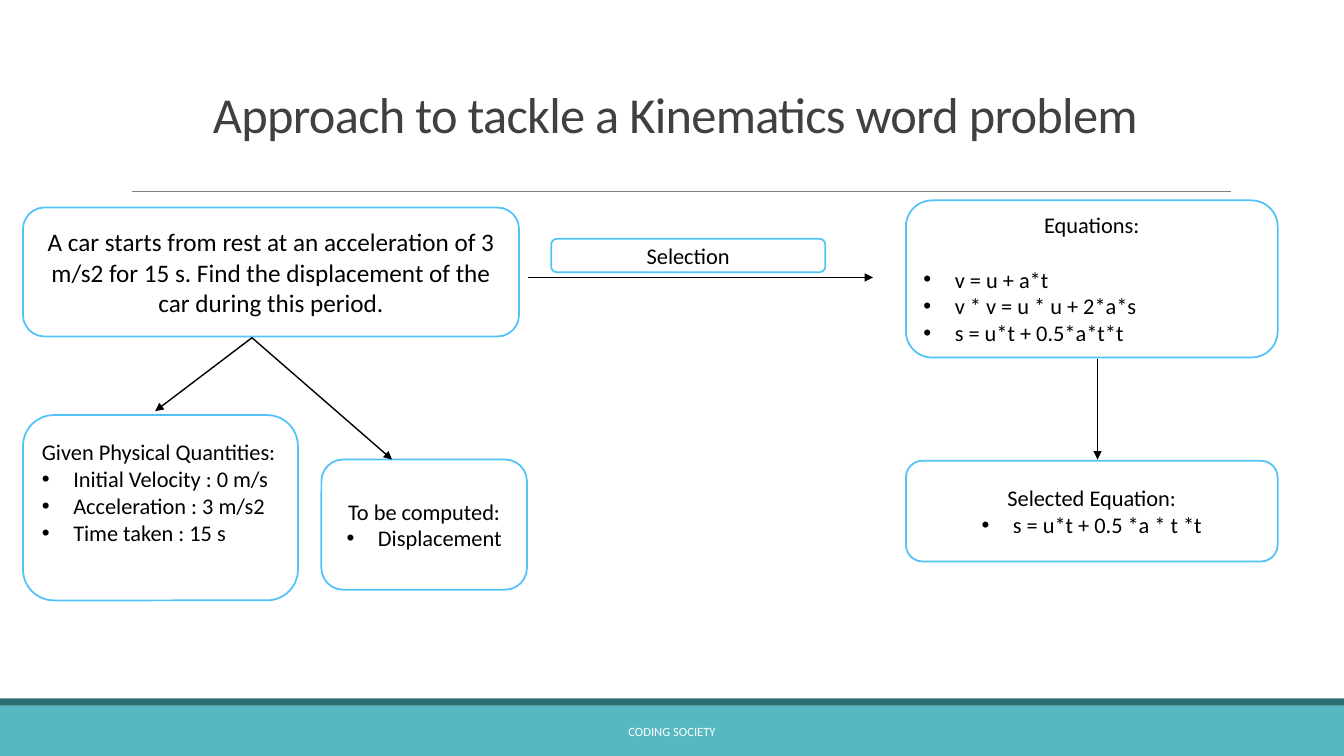
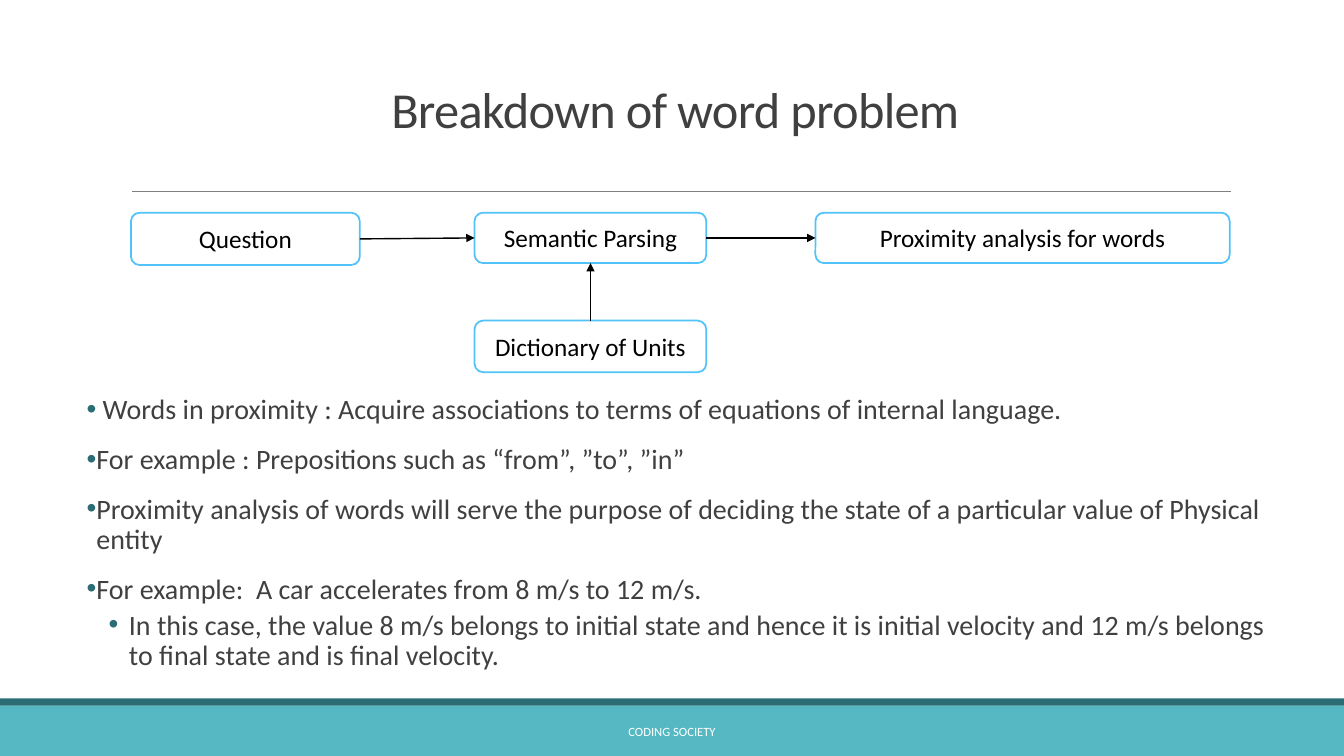
from lxml.etree import SubElement
from pptx import Presentation
from pptx.dml.color import RGBColor
from pptx.enum.shapes import MSO_CONNECTOR, MSO_SHAPE
from pptx.enum.text import MSO_ANCHOR, MSO_AUTO_SIZE, PP_ALIGN
from pptx.oxml.ns import qn
from pptx.util import Cm, Pt

FONT = "Calibri"
TEAL, DARK_TEAL, SKY = "56B8C2", "2A6D74", "51C3F9"
BLACK, WHITE, GREY, TEXT = "000000", "FFFFFF", "808080", "404040"
FOOTER = "CODING SOCIETY"
SLIDE_W, SLIDE_H = 33.87, 19.05
BAND_H, STRIP_H = 1.27, 0.18
BULLET_INDENT = 0.79
CENTER, LEFT = PP_ALIGN.CENTER, PP_ALIGN.LEFT


def rgb(value):
    """Turn a hex string into a colour."""
    return RGBColor.from_string(value)


def apply(target, formats):
    """Set each attribute named in a dict of format values."""
    for name, value in formats.items():
        setattr(target, name, value)


def place(shape, left, top, width, height):
    """Move and size a shape, in centimetres."""
    apply(shape, {"left": Cm(left), "top": Cm(top),
                  "width": Cm(width), "height": Cm(height)})


def write(p, text, size, color, **formats):
    """Write one formatted run into a paragraph and return the run."""
    apply(p, formats)
    r = p.add_run()
    r.text = text
    apply(r.font, {"name": FONT, "size": Pt(size)})
    r.font.color.rgb = rgb(color)
    return r


def paragraphs(tf, count):
    """Give the first paragraph and as many new ones as needed."""
    return [tf.paragraphs[0]] + [tf.add_paragraph() for _ in range(count - 1)]


def bullet(p, margin, hanging, color):
    """Give a paragraph a coloured round bullet with a hanging indent."""
    pPr = p._p.get_or_add_pPr()
    pPr.set("marL", str(Cm(margin)))
    pPr.set("indent", str(-Cm(hanging)))
    SubElement(SubElement(pPr, qn("a:buClr")), qn("a:srgbClr"), val=color)
    SubElement(pPr, qn("a:buFont"), typeface="Arial")
    SubElement(pPr, qn("a:buChar"), char="•")


def add_line(s, start, end, color, width):
    """Draw a straight line without a shadow."""
    line = s.shapes.add_connector(MSO_CONNECTOR.STRAIGHT,
                                  *(Cm(v) for v in (*start, *end)))
    line.line.color.rgb = rgb(color)
    line.line.width = Pt(width)
    SubElement(line.element.spPr, qn("a:effectLst"))
    return line


def add_arrow(s, start=(0, 0), end=(0, 0)):
    """Draw a black line with an arrowhead at its end."""
    arrow = add_line(s, start, end, BLACK, 1)
    SubElement(arrow.line._get_or_add_ln(), qn("a:tailEnd"), type="triangle")
    return arrow


def join(s, source, source_side, target, target_side):
    """Join the sides of two boxes with an arrow."""
    arrow = add_arrow(s)
    arrow.begin_connect(source, source_side)
    arrow.end_connect(target, target_side)


def add_bar(s, top, height, color):
    """Draw a full-width bar."""
    bar = s.shapes.add_shape(MSO_SHAPE.RECTANGLE, 0, Cm(top),
                             Cm(SLIDE_W), Cm(height))
    bar.shadow.inherit = False
    bar.fill.solid()
    bar.fill.fore_color.rgb = rgb(color)
    bar.line.fill.background()
    return bar


def decorate_master(prs, s):
    """Build the bands and title rule and move them to the master."""
    band_top = SLIDE_H - BAND_H
    parts = [add_bar(s, band_top, BAND_H, TEAL),
             add_bar(s, band_top - STRIP_H, STRIP_H, DARK_TEAL),
             add_line(s, (3.33, 4.83), (31.01, 4.83), GREY, 0.5)]
    for number, part in enumerate(parts, 101):
        part.element.xpath("./*/p:cNvPr")[0].set("id", str(number))
        prs.slide_master.shapes.element.append(part.element)


def add_title(s, text, height):
    """Fill and format the title placeholder."""
    title = s.shapes.title
    place(title, 3.05, 0.79, 27.94, height)
    tf = title.text_frame
    apply(tf, {"vertical_anchor": MSO_ANCHOR.BOTTOM,
               "auto_size": MSO_AUTO_SIZE.NONE})
    r = write(tf.paragraphs[0], text, 36, TEXT,
              alignment=CENTER, line_spacing=0.85)
    r._r.get_or_add_rPr().set("spc", "-50")


def add_footer(s):
    """Write the footer on the band."""
    box = s.shapes.add_textbox(Cm(10.24), Cm(17.93), Cm(13.39), Cm(1.02))
    tf = box.text_frame
    apply(tf, {"word_wrap": True, "vertical_anchor": MSO_ANCHOR.MIDDLE})
    write(tf.paragraphs[0], FOOTER, 9, WHITE, alignment=CENTER)


def add_box(s, at, heading, size=16, items=(), align=CENTER, item_align=LEFT):
    """Draw a rounded box with a heading and an optional bullet list."""
    box = s.shapes.add_shape(MSO_SHAPE.ROUNDED_RECTANGLE, 0, 0, 0, 0)
    place(box, *at)
    box.shadow.inherit = False
    box.fill.solid()
    box.fill.fore_color.rgb = rgb(WHITE)
    box.line.color.rgb = rgb(SKY)
    box.line.width = Pt(1.25)
    tf = box.text_frame
    apply(tf, {"word_wrap": True, "vertical_anchor": MSO_ANCHOR.MIDDLE})
    first, *rest = paragraphs(tf, 1 + len(items))
    write(first, heading, size, BLACK, alignment=align)
    for p, item in zip(rest, items):
        write(p, item, size, BLACK, alignment=item_align)
        bullet(p, BULLET_INDENT, BULLET_INDENT, BLACK)
    return box


def add_list(s, at, items):
    """Fill the body placeholder with (level, text) bullets."""
    body = s.placeholders[1]
    place(body, *at)
    tf = body.text_frame
    apply(tf, {"margin_left": 0, "margin_right": 0,
               "auto_size": MSO_AUTO_SIZE.NONE})
    styles = [(0.25, 0.25, 12, 2), (1.07, 0.51, 2, 4)]
    for p, (level, text) in zip(paragraphs(tf, len(items)), items):
        margin, hanging, before, after = styles[level]
        write(p, text, 20, TEXT, level=level, line_spacing=0.9,
              space_before=Pt(before), space_after=Pt(after))
        bullet(p, margin, hanging, DARK_TEAL)


def build_approach(s):
    """Build the slide on solving a kinematics problem."""
    add_title(s, "Approach to tackle a Kinematics word problem", 2.95)
    add_footer(s)
    add_box(s, (0.58, 5.23, 12.5, 3.25),
            "A car starts from rest at an acceleration of 3 m/s2 for 15 s. "
            "Find the displacement of the car during this period.", 18)
    given = add_box(s, (0.58, 10.46, 6.93, 4.67), "Given Physical Quantities:",
                    items=["Initial Velocity : 0 m/s", "Acceleration : 3 m/s2",
                           "Time taken : 15 s"], align=LEFT)
    given.text_frame.margin_bottom = Cm(0.9)
    add_box(s, (8.1, 11.58, 5.18, 3.28), "To be computed:",
            items=["Displacement"], item_align=CENTER)
    equations = add_box(s, (22.83, 5.05, 9.37, 3.96), "Equations:",
                        items=["v = u + a*t", "v * v = u * u + 2*a*s",
                               "s = u*t + 0.5*a*t*t"])
    equations.text_frame.paragraphs[0].space_after = Pt(19.5)
    add_box(s, (13.89, 6.02, 6.91, 0.84), "Selection")
    add_box(s, (22.83, 11.61, 9.37, 2.54), "Selected Equation:",
            items=["s = u*t + 0.5 *a * t *t"], item_align=CENTER)
    for start, end in [((6.35, 8.51), (9.88, 11.58)),
                       ((6.35, 8.51), (3.91, 10.36)),
                       ((13.31, 6.99), (22, 6.99)),
                       ((27.66, 9.04), (27.66, 11.58))]:
        add_arrow(s, start, end)


def build_breakdown(s):
    """Build the slide on breaking down a word problem."""
    add_title(s, "Breakdown of word problem", 2.84)
    add_list(s, (2.18, 9.83, 29.92, 7.52), [
        (0, " Words in proximity : Acquire associations to terms of "
            "equations of internal language."),
        (0, "For example : Prepositions such as “from”, ”to”, ”in”"),
        (0, "Proximity analysis of words will serve the purpose of deciding "
            "the state of a particular value of Physical entity"),
        (0, "For example:  A car accelerates from 8 m/s to 12 m/s."),
        (1, "In this case, the value 8 m/s belongs to initial state and "
            "hence it is initial velocity and 12 m/s belongs to final state "
            "and is final velocity.")])
    add_footer(s)
    question, semantic, proximity, units = [
        add_box(s, at, text, 18) for at, text in [
            ((3.3, 5.36, 5.77, 1.32), "Question"),
            ((11.96, 5.36, 5.84, 1.27), "Semantic Parsing"),
            ((20.55, 5.36, 10.44, 1.27), "Proximity analysis for words"),
            ((11.96, 8.08, 5.84, 1.3), "Dictionary of Units")]]
    join(s, question, 3, semantic, 1)
    join(s, semantic, 3, proximity, 1)
    join(s, units, 0, semantic, 2)


def main():
    """Build and save the presentation."""
    prs = Presentation()
    apply(prs, {"slide_width": Cm(SLIDE_W), "slide_height": Cm(SLIDE_H)})
    title_only, title_and_list = prs.slide_layouts[5], prs.slide_layouts[1]
    approach = prs.slides.add_slide(title_only)
    decorate_master(prs, approach)
    build_approach(approach)
    build_breakdown(prs.slides.add_slide(title_and_list))
    prs.save("out.pptx")


if __name__ == "__main__":
    main()
